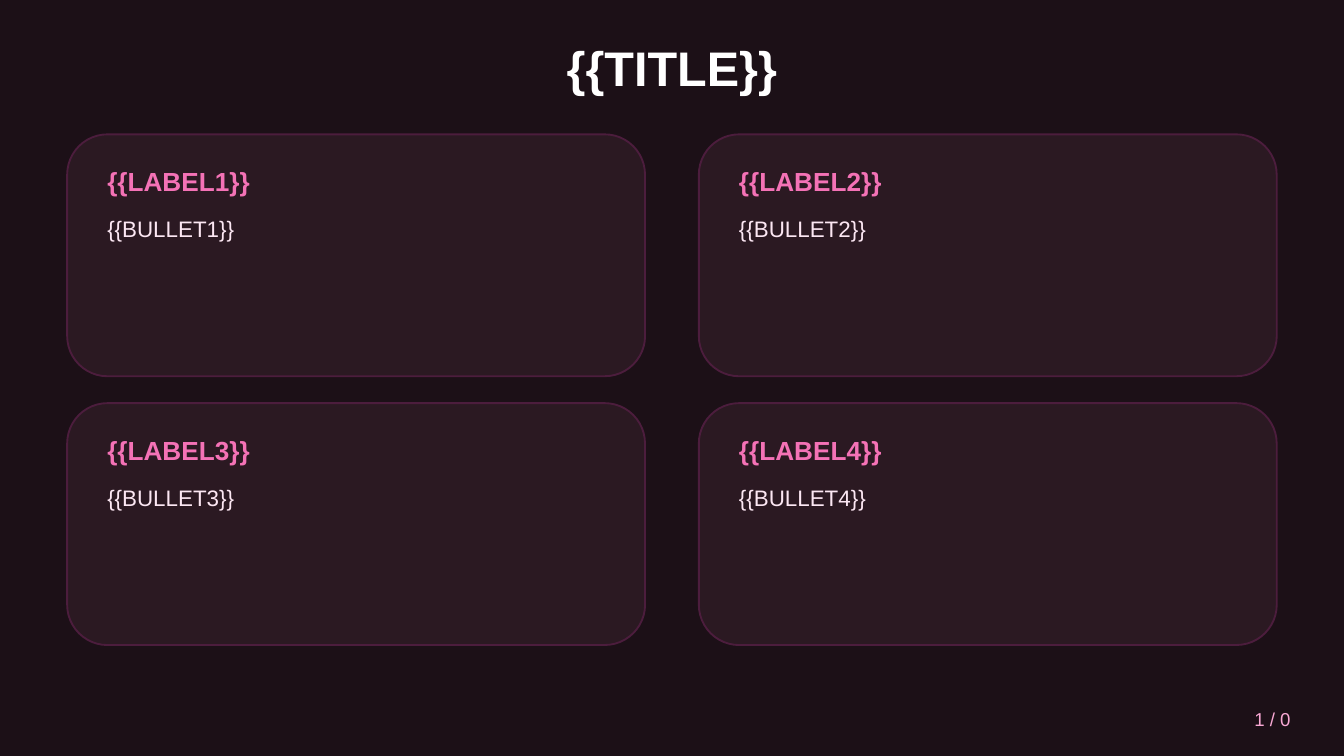
from dataclasses import dataclass

from lxml.etree import SubElement
from pptx import Presentation
from pptx.dml.color import RGBColor
from pptx.enum.shapes import MSO_SHAPE
from pptx.enum.text import MSO_ANCHOR, PP_ALIGN
from pptx.oxml.ns import qn
from pptx.slide import Slide
from pptx.util import Inches, Pt


@dataclass(frozen=True)
class Style:
    size: int
    color: str
    bold: bool = False
    align: PP_ALIGN = PP_ALIGN.LEFT
    anchor: MSO_ANCHOR = MSO_ANCHOR.MIDDLE


@dataclass(frozen=True)
class Theme:
    font: str = "Arial"
    back: str = "1C1017"
    panel: str = "2D1A24"
    border: str = "4C1D3D"
    opacity: int = 90
    title: Style = Style(26, "FFFFFF", True, PP_ALIGN.CENTER)
    label: Style = Style(14, "F472B6", True)
    bullet: Style = Style(12, "FCE7F3", anchor=MSO_ANCHOR.TOP)
    page: Style = Style(10, "F9A8D4", align=PP_ALIGN.RIGHT)


@dataclass(frozen=True)
class Box:
    left: float
    top: float
    width: float
    height: float

    def lengths(self) -> tuple[Inches, ...]:
        return tuple(Inches(n) for n in (self.left, self.top, self.width, self.height))


@dataclass(frozen=True)
class Card:
    label: str
    bullet: str


THEME = Theme()
CARDS = [Card(f"{{{{LABEL{n}}}}}", f"{{{{BULLET{n}}}}}") for n in range(1, 5)]
COLUMNS = 2
MARGIN, TOP = 0.5, 1.0
WIDTH, HEIGHT = 4.3, 1.8
GAP_X, GAP_Y = 0.4, 0.2
INSET = 0.2


def add_text(slide: Slide, text: str, box: Box, style: Style) -> None:
    frame = slide.shapes.add_textbox(*box.lengths()).text_frame
    frame.word_wrap = True
    frame.vertical_anchor = style.anchor
    frame.text = text
    line = frame.paragraphs[0]
    line.alignment = style.align
    font = line.runs[0].font
    font.name = THEME.font
    font.size = Pt(style.size)
    font.bold = style.bold
    font.color.rgb = RGBColor.from_string(style.color)


def add_panel(slide: Slide, box: Box) -> None:
    panel = slide.shapes.add_shape(MSO_SHAPE.ROUNDED_RECTANGLE, *box.lengths())
    panel.shadow.inherit = False
    panel.fill.solid()
    panel.fill.fore_color.rgb = RGBColor.from_string(THEME.panel)
    color = panel.element.spPr.find(qn("a:solidFill"))[0]
    SubElement(color, qn("a:alpha"), val=str(THEME.opacity * 1000))
    panel.line.color.rgb = RGBColor.from_string(THEME.border)
    panel.line.width = Pt(1)


def add_card(slide: Slide, card: Card, index: int) -> None:
    row, column = divmod(index, COLUMNS)
    left = MARGIN + column * (WIDTH + GAP_X)
    top = TOP + row * (HEIGHT + GAP_Y)
    inner = WIDTH - 2 * INSET
    add_panel(slide, Box(left, top, WIDTH, HEIGHT))
    add_text(slide, card.label, Box(left + INSET, top + 0.15, inner, 0.4), THEME.label)
    add_text(slide, card.bullet, Box(left + INSET, top + 0.55, inner, 1), THEME.bullet)


def main() -> None:
    deck = Presentation()
    deck.slide_width = Inches(10)
    deck.slide_height = Inches(10 * 9 / 16)
    slide = deck.slides.add_slide(deck.slide_layouts[6])
    slide.background.fill.solid()
    slide.background.fill.fore_color.rgb = RGBColor.from_string(THEME.back)
    add_text(slide, "{{TITLE}}", Box(MARGIN, 0.2, 9, 0.6), THEME.title)
    for index, card in enumerate(CARDS):
        add_card(slide, card, index)
    add_text(slide, "1 / 0", Box(8.5, 5.2, 1.2, 0.3), THEME.page)
    deck.save("out.pptx")


if __name__ == "__main__":
    main()
